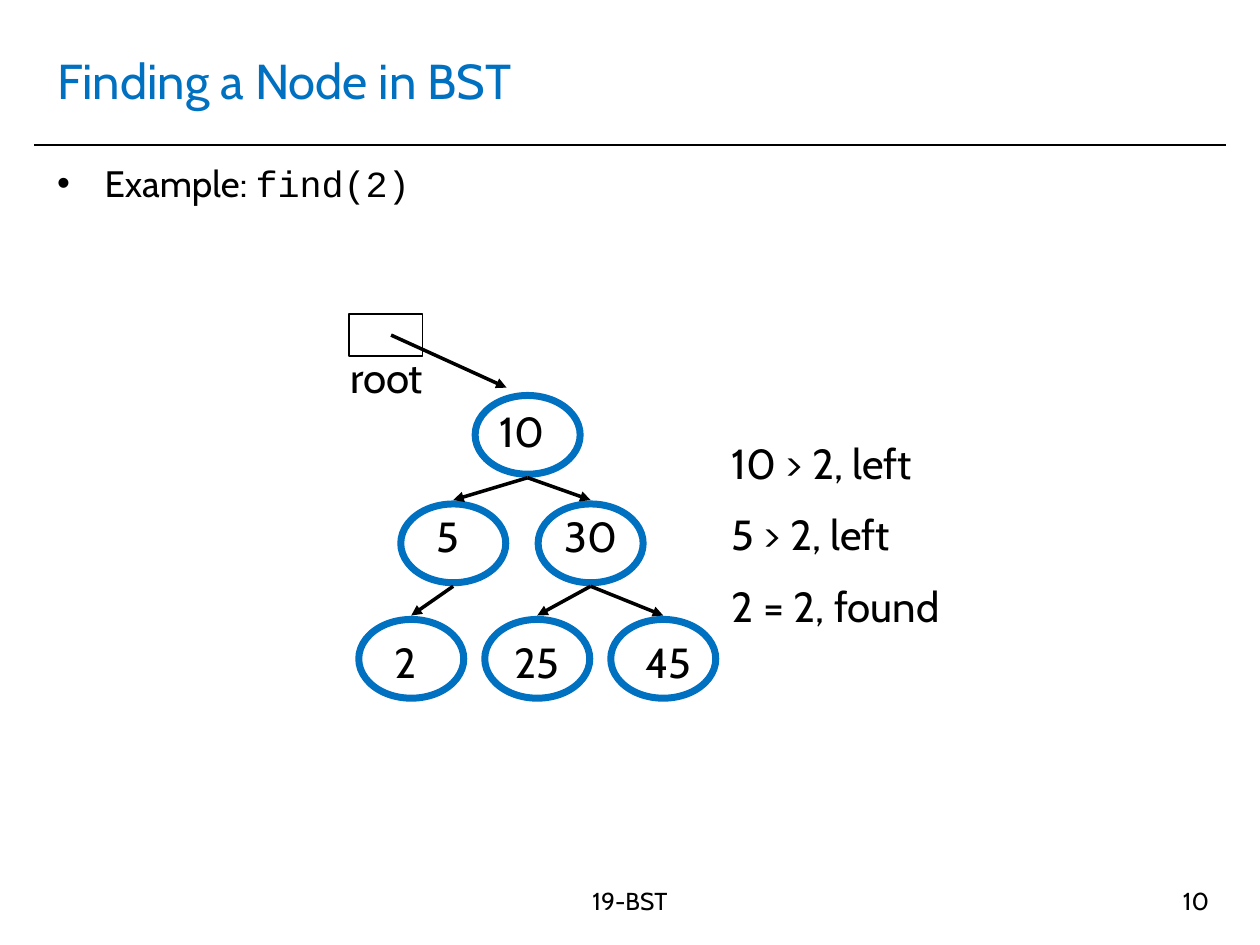
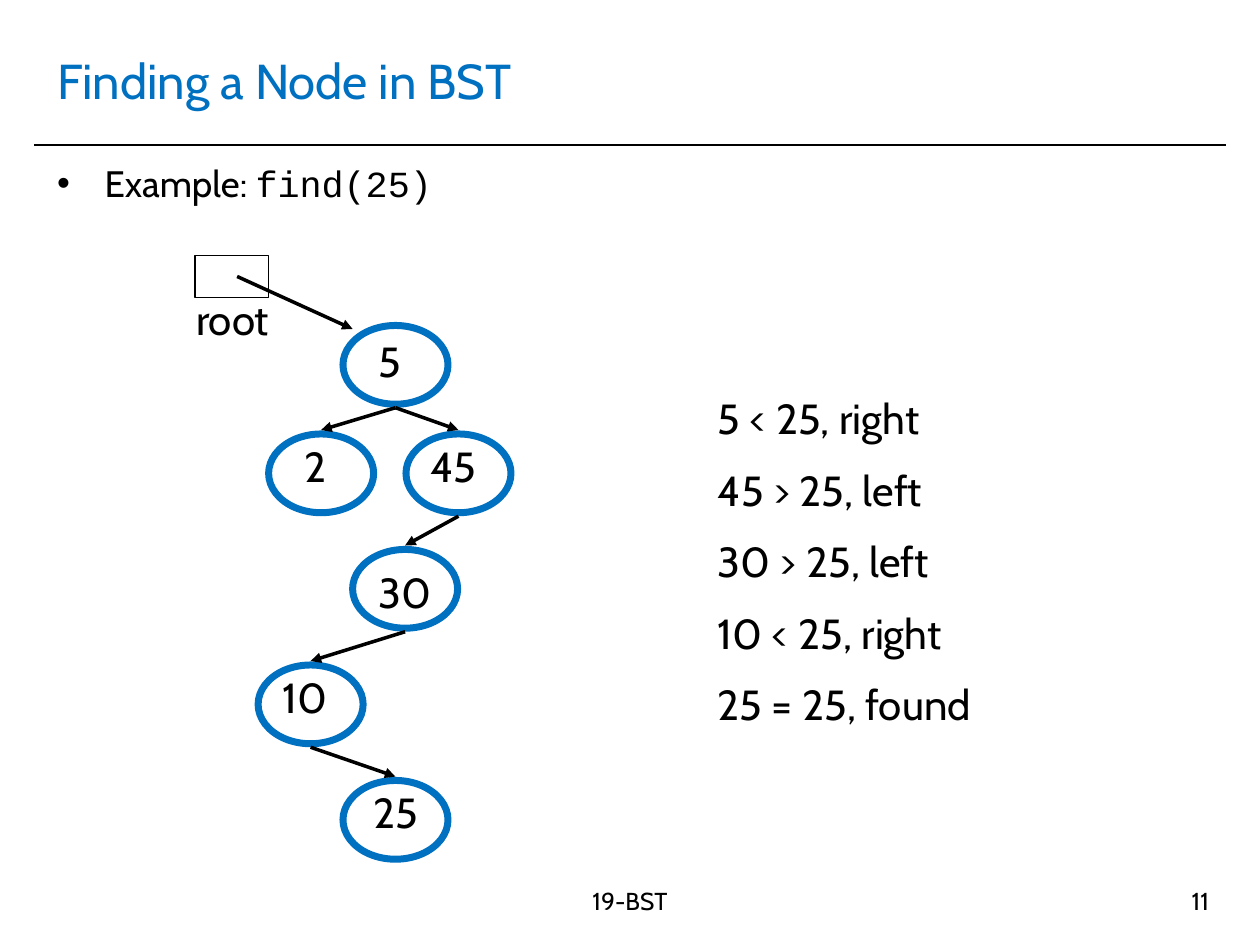
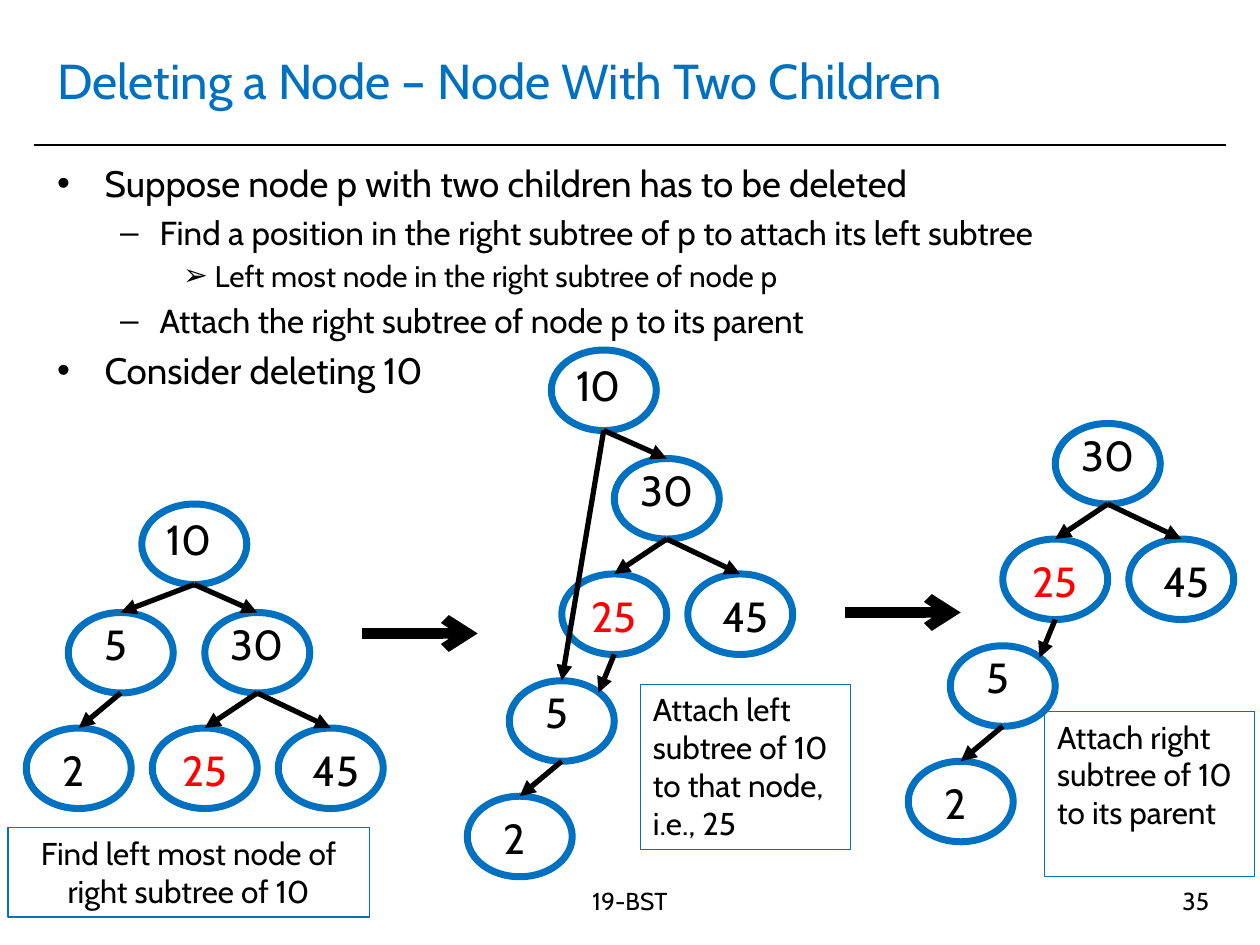
from dataclasses import dataclass

from lxml.etree import SubElement
from pptx import Presentation
from pptx.dml.color import RGBColor
from pptx.enum.shapes import MSO_CONNECTOR, MSO_SHAPE
from pptx.enum.text import MSO_ANCHOR, MSO_AUTO_SIZE, PP_ALIGN
from pptx.oxml.ns import qn
from pptx.util import Pt


@dataclass(frozen=True)
class Theme:
    font: str = "Cabin"
    code_font: str = "Courier New"
    blue: str = "0070C0"
    black: str = "000000"
    red: str = "FF0000"
    title: int = 28
    levels: tuple = (21, 19, 17)
    node: int = 24
    note: int = 18
    footer: int = 14


THEME = Theme()

# Layout shared by all slides, in points: left, top, width, height
TITLE_BOX = (25.5, 15, 669, 61)
BODY_BOX = (25.5, 88.5, 669, 402.5)
FOOTER_BOX = (241, 502.5, 238, 37.5)
NUMBER_BOX = (530, 502.5, 168, 37.5)
RULE = ((19.5, 83), (700.5, 83))
FOOTER = "19-BST"

# Bullet character, text indent and hanging width for each level
BULLETS = [("•", 27, 27), ("–", 58.5, 22.5), ("➢", 90, 18)]

NODE_WIDTH = 60
LABEL_HEIGHT = 36
LABEL_WIDTHS = {2: 30, 5: 30, 10: 42, 25: 48, 30: 48, 45: 42}
SHOULDER = (0.85, 0.15)  # upper right point of an ellipse, as shares of its box


@dataclass(frozen=True)
class TreeStyle:
    height: float  # of a node
    start_gap: float  # from a node's foot to the arrow's start
    end_gap: float  # from the arrow's tip to the child's top
    arrow: float  # line width


FIND_STYLE = TreeStyle(45, 2, 2.25, 2)
DELETE_STYLE = TreeStyle(46, 0, 0, 3)

# Content. nodes: value -> left, top, label shift right, label shift down
SLIDES = [
    {
        "number": 10,
        "title": "Finding a Node in BST",
        "bullets": [(0, "Example: ", "find(2)")],
        "root": (199.5, 179.5),
        "style": FIND_STYLE,
        "trees": [{
            "nodes": {
                10: (271.5, 226, 6, 2), 5: (229, 288, 12, 0), 30: (307.5, 288, 6, 0),
                2: (205, 354, 12, 6), 25: (277, 354, 6, 6), 45: (349, 354, 12, 6),
            },
            "edges": [(10, 5), (10, 30), (5, 2), (30, 25), (30, 45)],
        }],
        "steps": ((411, 246.5, 180, 124),
                  ["10 > 2, left", "5 > 2, left", "2 = 2, found"]),
    },
    {
        "number": 11,
        "title": "Finding a Node in BST",
        "bullets": [(0, "Example: ", "find(25)")],
        "root": (111.5, 146),
        "style": FIND_STYLE,
        "trees": [{
            "nodes": {
                5: (196, 186, 12, 2), 2: (153.5, 248, 12, 0), 45: (232, 248, 6, 0),
                30: (201.5, 314, 6, 6), 10: (147.5, 380, 6, 0), 25: (196, 446, 6, 0),
            },
            "edges": [(5, 2), (5, 45), (45, 30), (30, 10), (10, 25)],
        }],
        "steps": ((403, 221, 180, 211),
                  ["5 < 25, right", "45 > 25, left", "30 > 25, left",
                   "10 < 25, right", "25 = 25, found"]),
    },
    {
        "number": 35,
        "title": "Deleting a Node – Node With Two Children",
        "bullets": [
            (0, "Suppose node p with two children has to be deleted", ""),
            (1, "Find a position in the right subtree of p to attach its left subtree", ""),
            (2, "Left most node in the right subtree of node p", ""),
            (1, "Attach the right subtree of node p to its parent", ""),
            (0, "Consider deleting 10", ""),
        ],
        "style": DELETE_STYLE,
        "marked": 25,
        "trees": [
            {
                "nodes": {
                    10: (81, 288, 6, 2), 5: (39, 350, 12, 0), 30: (117, 350, 6, 0),
                    2: (15, 416, 12, 6), 25: (87, 416, 6, 6), 45: (159, 416, 12, 6),
                },
                "edges": [(10, 5), (10, 30), (5, 2), (30, 25), (30, 45)],
            },
            {
                "nodes": {
                    10: (315, 200, 6, 2), 30: (351, 262, 6, 0), 25: (321, 328, 6, 6),
                    45: (393, 328, 12, 6), 5: (291, 389, 12, 0), 2: (267, 455, 12, 6),
                },
                "edges": [(10, 5), (10, 30), (30, 25), (30, 45), (5, 2)],
                "shoulder_edges": [(25, 5)],
            },
            {
                "nodes": {
                    30: (603, 242, 6, 0), 25: (573, 308, 6, 6), 45: (645, 308, 12, 6),
                    5: (543, 369, 12, 0), 2: (519, 435, 12, 6),
                },
                "edges": [(30, 25), (30, 45), (5, 2)],
                "shoulder_edges": [(25, 5)],
            },
        ],
        "stage_arrows": [((207, 362), (273, 362)), ((483, 350), (549, 350))],
        "notes": [
            ((4.5, 473, 206.5, 51), PP_ALIGN.CENTER,
             "Find left most node of right subtree of 10"),
            ((366, 391, 120, 94.5), PP_ALIGN.LEFT,
             "Attach left subtree of 10 to that node, i.e., 25"),
            ((597, 406.5, 120, 94.5), PP_ALIGN.LEFT,
             "Attach right subtree of 10 to its parent"),
        ],
    },
]


# Text helpers
def apply(target, values):
    for name, value in values.items():
        setattr(target, name, value)


def add_span(para, text, size, color=THEME.black, font=THEME.font):
    span = para.add_run()
    span.text = text
    apply(span.font, {"name": font, "size": Pt(size)})
    span.font.color.rgb = RGBColor.from_string(color)


def lengths(box):
    return [Pt(value) for value in box]


def write(shape, lines, size, color=THEME.black, align=PP_ALIGN.LEFT, gap=0):
    frame = shape.text_frame
    apply(frame, {"word_wrap": True, "auto_size": MSO_AUTO_SIZE.NONE,
                  "vertical_anchor": MSO_ANCHOR.TOP})
    for index, line in enumerate(lines):
        para = frame.add_paragraph() if index else frame.paragraphs[0]
        apply(para, {"alignment": align, "space_before": Pt(gap)})
        add_span(para, line, size, color)
    return frame


def add_text(page, box, lines, size, **options):
    return write(page.shapes.add_textbox(*lengths(box)), lines, size, **options)


def place(shape, box):
    apply(shape, dict(zip(("left", "top", "width", "height"), lengths(box))))


# Drawing helpers
def add_outline(page, kind, box, color, width):
    shape = page.shapes.add_shape(kind, *lengths(box))
    shape.shadow.inherit = False
    shape.fill.background()
    shape.line.color.rgb = RGBColor.from_string(color)
    shape.line.width = Pt(width)
    return shape


def add_line(page, start, end, width, head=None):
    line = page.shapes.add_connector(MSO_CONNECTOR.STRAIGHT, *lengths(start + end))
    line.line.color.rgb = RGBColor.from_string(THEME.black)
    line.line.width = Pt(width)
    properties = line._element.spPr
    if head:
        SubElement(properties.find(qn("a:ln")), qn("a:tailEnd"), type=head)
    SubElement(properties, qn("a:effectLst"))


# Slide parts
def add_frame(page, title, number):
    add_line(page, *RULE, 1)
    place(page.shapes.title, TITLE_BOX)
    frame = write(page.shapes.title, [title], THEME.title, color=THEME.blue)
    frame.vertical_anchor = MSO_ANCHOR.MIDDLE
    add_text(page, FOOTER_BOX, [FOOTER], THEME.footer, align=PP_ALIGN.CENTER)
    add_text(page, NUMBER_BOX, [str(number)], THEME.footer, align=PP_ALIGN.RIGHT)


def add_bullets(page, bullets):
    body = page.placeholders[1]
    place(body, BODY_BOX)
    frame = write(body, [], THEME.levels[0])
    for index, (level, text, code) in enumerate(bullets):
        para = frame.add_paragraph() if index else frame.paragraphs[0]
        size = THEME.levels[level]
        mark, indent, hanging = BULLETS[level]
        apply(para, {"level": level, "space_before": Pt(size * 0.2)})
        properties = para._p.get_or_add_pPr()
        properties.set("marL", str(Pt(indent)))
        properties.set("indent", str(-Pt(hanging)))
        color = SubElement(properties, qn("a:buClr"))
        SubElement(color, qn("a:srgbClr"), val=THEME.black)
        SubElement(properties, qn("a:buChar"), char=mark)
        add_span(para, text, size)
        if code:
            add_span(para, code, size, font=THEME.code_font)


def add_root(page, left, top):
    add_text(page, (left - 6.5, top + 18, 58, LABEL_HEIGHT), ["root"], THEME.node)
    add_line(page, (left + 24, top + 12), (left + 90, top + 42), 2, "triangle")
    add_outline(page, MSO_SHAPE.RECTANGLE, (left, top, 42, 24), THEME.black, 0.75)


def add_tree(page, tree, style, marked):
    nodes = tree["nodes"]
    for left, top, _, _ in nodes.values():
        add_outline(page, MSO_SHAPE.OVAL, (left, top, NODE_WIDTH, style.height),
                    THEME.blue, 4)

    def foot(value):
        left, top, _, _ = nodes[value]
        return left + NODE_WIDTH / 2, top + style.height + style.start_gap

    for parent, child in tree["edges"]:
        left, top, _, _ = nodes[child]
        add_line(page, foot(parent), (left + NODE_WIDTH / 2, top - style.end_gap),
                 style.arrow, "triangle")
    for parent, child in tree.get("shoulder_edges", []):
        left, top, _, _ = nodes[child]
        tip = (left + NODE_WIDTH * SHOULDER[0], top + style.height * SHOULDER[1])
        add_line(page, foot(parent), tip, style.arrow, "triangle")

    for value, (left, top, right, down) in nodes.items():
        box = (left + right, top + down, LABEL_WIDTHS[value], LABEL_HEIGHT)
        add_text(page, box, [str(value)], THEME.node, align=PP_ALIGN.CENTER,
                 color=THEME.red if value == marked else THEME.black)


def add_page(deck, content):
    page = deck.slides.add_slide(deck.slide_layouts[1])
    add_frame(page, content["title"], content["number"])
    add_bullets(page, content["bullets"])
    for tree in content["trees"]:
        add_tree(page, tree, content["style"], content.get("marked"))
    if "root" in content:
        add_root(page, *content["root"])
    if "steps" in content:
        box, lines = content["steps"]
        add_text(page, box, lines, THEME.node, gap=THEME.node / 2)
    for start, end in content.get("stage_arrows", []):
        add_line(page, start, end, 6, "arrow")
    for box, align, text in content.get("notes", []):
        note = add_outline(page, MSO_SHAPE.RECTANGLE, box, THEME.blue, 0.75)
        write(note, [text], THEME.note, align=align)


def main():
    deck = Presentation()
    apply(deck, {"slide_width": Pt(720), "slide_height": Pt(540)})
    for content in SLIDES:
        add_page(deck, content)
    deck.save("out.pptx")


if __name__ == "__main__":
    main()
